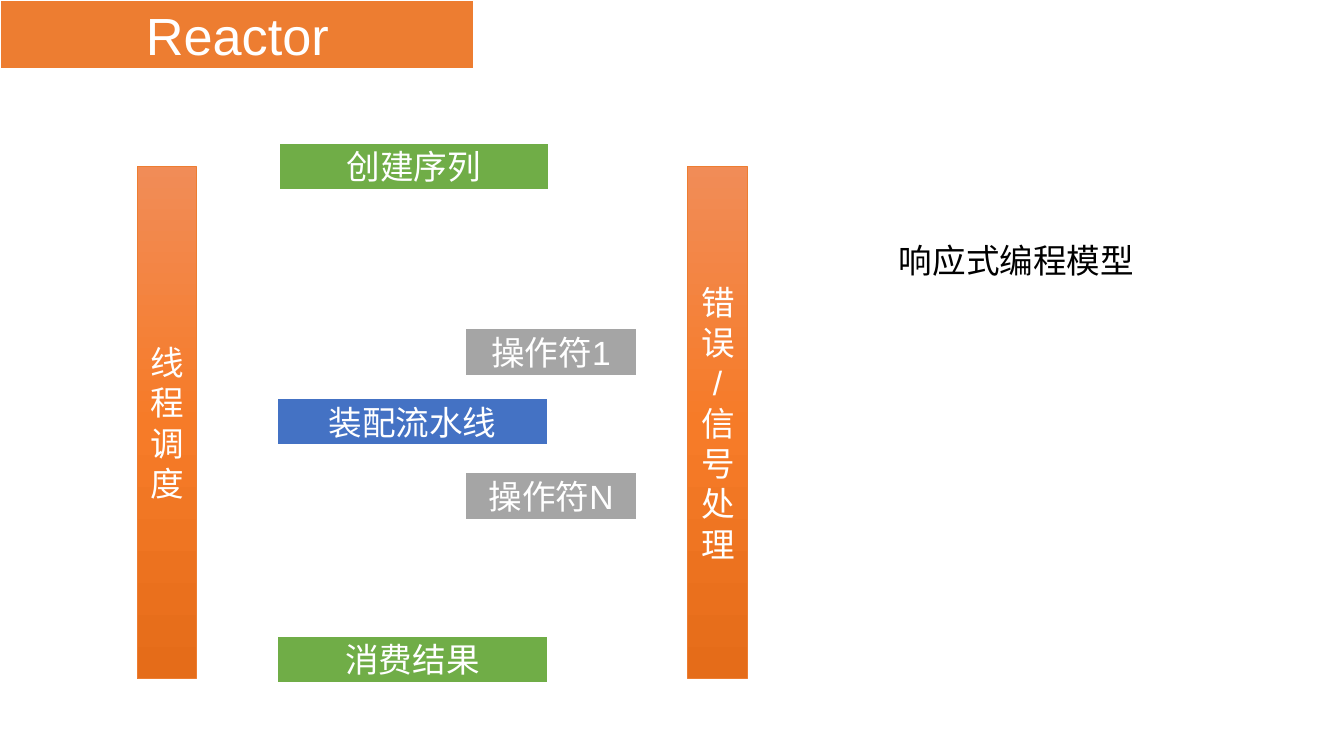
from copy import deepcopy

from lxml.etree import SubElement
from pptx import Presentation
from pptx.dml.color import RGBColor
from pptx.enum.shapes import MSO_SHAPE as Shape
from pptx.enum.text import MSO_ANCHOR as Anchor, MSO_AUTO_SIZE as AutoSize, PP_ALIGN as Align
from pptx.oxml.ns import qn
from pptx.util import Cm, Pt

THEME = {
    "font": "Arial", "title_size": 28, "body_size": 18,
    "light": "FFFFFF", "dark": "000000", "accent": "ED7D31",
    "endpoint": "70AD47", "pipeline": "4472C4", "operator": "A5A5A5",
    "bar": [(0, "F18C57"), (0.5, "F67B28"), (1, "E56C19")],
    "outline": 1.5, "bar_outline": 0.5,
}

TITLE = "Reactor"
# text, theme colour, left, top (cm)
STAGES = [
    ("创建序列", "endpoint", 5.26, 2.69),
    ("装配流水线", "pipeline", 5.23, 7.52),
    ("消费结果", "endpoint", 5.23, 12.01),
]
OPERATORS = [("操作符1", 6.2), ("操作符N", 8.92)]
BARS = [("线程调度", 2.59), ("错误/信号处理", 13.0)]
CAPTION = "响应式编程模型"

BOX_HEIGHT = 0.91
STAGE_WIDTH = 5.13
OPERATOR_LEFT, OPERATOR_WIDTH = 8.79, 3.25
BAR_TOP, BAR_WIDTH, BAR_HEIGHT = 3.15, 1.12, 9.68


def color(name):
    return RGBColor.from_string(THEME[name])


def write(shape, text, size="body_size", ink="light", align=Align.CENTER,
          **frame_format):
    frame = shape.text_frame
    settings = {"word_wrap": True, "vertical_anchor": Anchor.MIDDLE, **frame_format}
    for key, value in settings.items():
        setattr(frame, key, value)
    frame.text = text
    paragraph = frame.paragraphs[0]
    paragraph.alignment = align
    paragraph.line_spacing = 1.0
    font = paragraph.runs[0].font
    for key, value in {"name": THEME["font"], "size": Pt(THEME[size])}.items():
        setattr(font, key, value)
    font.color.rgb = color(ink)


def outline(shape, ink="light", width="outline"):
    shape.line.color.rgb = color(ink)
    shape.line.width = Pt(THEME[width])


def paint(shape, fill):
    shape.fill.solid()
    shape.fill.fore_color.rgb = color(fill)
    outline(shape)


def paint_bar(shape):
    """Fill with the three-stop vertical gradient."""
    shape.fill.gradient()
    shape.fill.gradient_angle = 270
    stop_list = shape.fill._xPr.find(".//" + qn("a:gsLst"))
    stop_list.append(deepcopy(stop_list[0]))
    for stop, (position, rgb) in zip(shape.fill.gradient_stops, THEME["bar"]):
        stop.position = position
        stop.color.rgb = RGBColor.from_string(rgb)
    outline(shape, "accent", "bar_outline")


def add_box(slide, text, left, top, width, height=BOX_HEIGHT):
    box = slide.shapes.add_shape(Shape.RECTANGLE, Cm(left), Cm(top), Cm(width), Cm(height))
    box.shadow.inherit = False
    write(box, text)
    return box


def add_title(slide):
    title = slide.shapes.title
    place = {"left": 0, "top": 0, "width": Cm(8.97), "height": Cm(1.32)}
    for key, value in place.items():
        setattr(title, key, value)
    geometry = SubElement(title.element.spPr, qn("a:prstGeom"), prst="round2DiagRect")
    SubElement(geometry, qn("a:avLst"))
    paint(title, "accent")
    write(title, TITLE, "title_size", auto_size=AutoSize.NONE)


def main():
    deck = Presentation()
    deck.slide_width, deck.slide_height = Cm(25.4), Cm(14.29)
    slide = deck.slides.add_slide(deck.slide_layouts[5])

    add_title(slide)
    for text, fill, left, top in STAGES:
        paint(add_box(slide, text, left, top, STAGE_WIDTH), fill)
    for text, top in OPERATORS:
        paint(add_box(slide, text, OPERATOR_LEFT, top, OPERATOR_WIDTH), "operator")
    for text, left in BARS:
        paint_bar(add_box(slide, text, left, BAR_TOP, BAR_WIDTH, BAR_HEIGHT))

    caption = slide.shapes.add_textbox(Cm(16.74), Cm(4.42), Cm(5.92), Cm(1.02))
    write(caption, CAPTION, ink="dark", align=Align.LEFT,
          vertical_anchor=Anchor.TOP, auto_size=AutoSize.SHAPE_TO_FIT_TEXT)

    deck.save("out.pptx")


if __name__ == "__main__":
    main()
